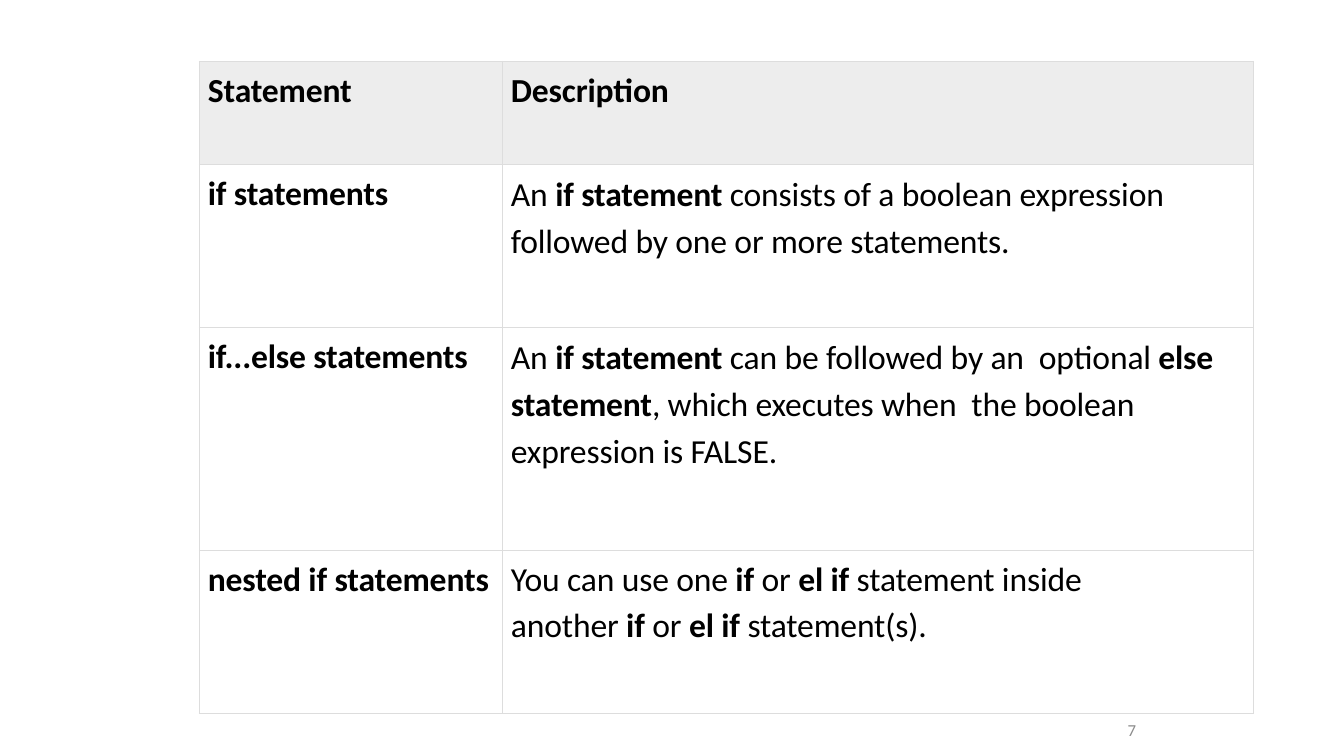
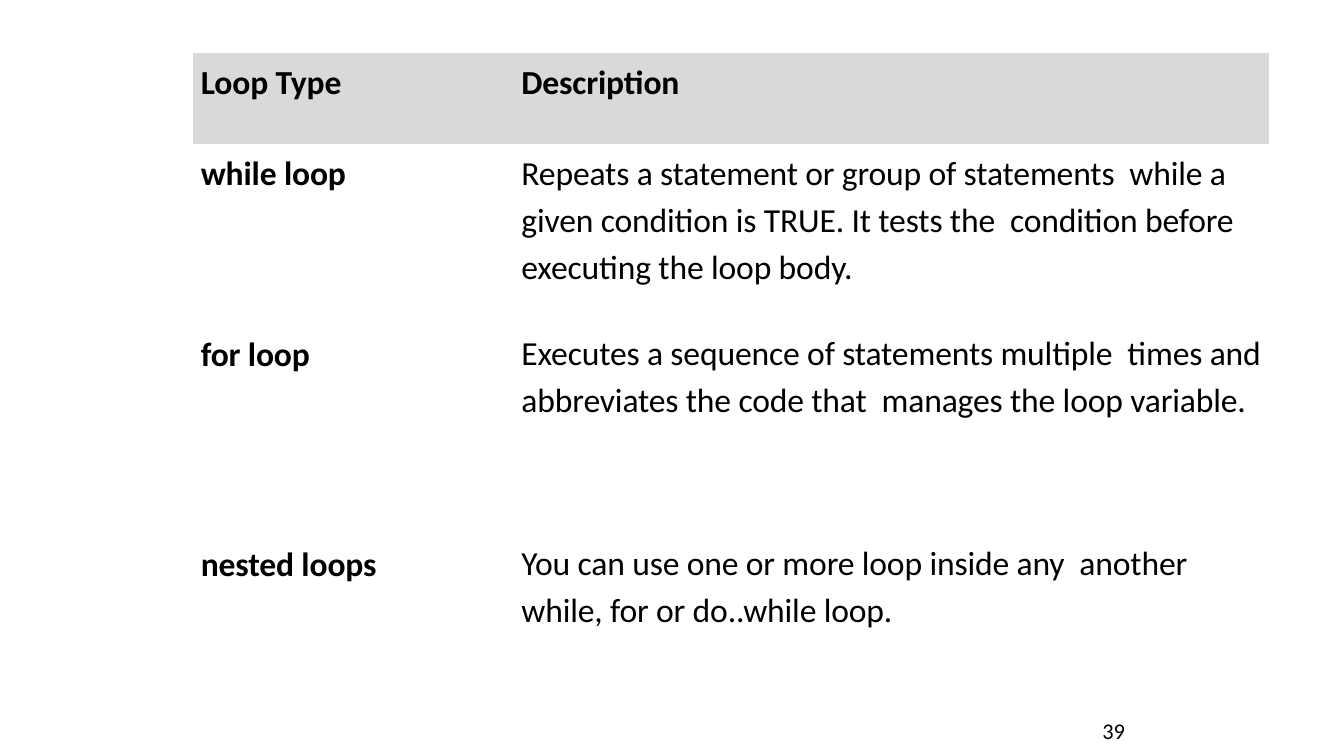
import pptx
import pptx.dml.color
import pptx.enum.text
import pptx.util

FONT = "Calibri"
BLACK = "000000"
WHITE = "FFFFFF"
PLAIN_TABLE_STYLE = "{2D5ABB26-0587-4C30-8999-92F81FD0307C}"
BORDER_SIDES = ("a:lnL", "a:lnR", "a:lnT", "a:lnB")

STATEMENTS = [
    ["**Statement**", "**Description**"],
    ["**if statements**",
     "An **if statement** consists of a boolean expression followed by one or more statements."],
    ["**if...else statements**",
     "An **if statement** can be followed by an  optional **else statement**, "
     "which executes when  the boolean expression is FALSE."],
    ["**nested if statements**",
     "You can use one **if** or **el if** statement inside\n"
     "another **if** or **el if** statement(s)."],
]

LOOPS = [
    ["**Loop Type**", "**Description**"],
    ["**while loop**",
     "Repeats a statement or group of statements  while a given condition is TRUE. "
     "It tests the  condition before executing the loop body."],
    ["**for loop**",
     "Executes a sequence of statements multiple  times and abbreviates "
     "the code that  manages the loop variable."],
    ["**nested loops**",
     "You can use one or more loop inside any  another while, for or do..while loop."],
]


def pt(value):
    return pptx.util.Pt(value)


def rgb(value):
    return pptx.dml.color.RGBColor.from_string(value)


def format_span(span, size, color, bold=False):
    span.font.name = FONT
    span.font.size = pt(size)
    span.font.bold = bold
    span.font.color.rgb = rgb(color)
    span._r.get_or_add_rPr().set("spc", "-10")


def write_rich_text(para, text):
    for position, piece in enumerate(text.split("**")):
        if piece:
            span = para.add_run()
            span.text = piece
            format_span(span, 24, BLACK, bold=position % 2 == 1)


def add_borders(cell, color):
    properties = cell._tc.get_or_add_tcPr()
    for index, side in enumerate(BORDER_SIDES):
        line = pptx.oxml.parse_xml(
            f'<{side} xmlns:a="http://schemas.openxmlformats.org/drawingml/2006/main" w="12700">'
            f'<a:solidFill><a:srgbClr val="{color}"/></a:solidFill></{side}>')
        properties.insert(index, line)


def fill_cell(cell, text, fill, top_inset, spacing):
    cell.fill.solid()
    cell.fill.fore_color.rgb = rgb(fill)
    cell.margin_left = pt(6)
    cell.margin_right = cell.margin_bottom = 0
    cell.margin_top = pt(top_inset)
    frame = cell.text_frame
    for index, line in enumerate(text.split("\n")):
        para = frame.add_paragraph() if index else frame.paragraphs[0]
        para.line_spacing = spacing
        para.space_before = pt(3.6 if index else 0)
        write_rich_text(para, line)


def add_statement_table(page, rows, left, top, widths, heights, header_fill,
                        label_inset, body_inset, border=None):
    table = page.shapes.add_table(len(rows), len(widths), pt(left), pt(top),
                                  pt(sum(widths)), pt(sum(heights))).table
    table.first_row = table.horz_banding = False
    table._tbl.tblPr[0].text = PLAIN_TABLE_STYLE
    for column, width in zip(table.columns, widths):
        column.width = pt(width)
    for row, height in zip(table.rows, heights):
        row.height = pt(height)
    for row_index, texts in enumerate(rows):
        for column_index, text in enumerate(texts):
            cell = table.cell(row_index, column_index)
            is_body = row_index > 0 and column_index > 0
            wraps = is_body and "\n" not in text
            fill_cell(cell, text, WHITE if row_index else header_fill,
                      body_inset if wraps else label_inset, 1.15 if wraps else 1.0)
            if border:
                add_borders(cell, border)


def add_page_number(page, number, right, size, color):
    width, height, middle = 24, 24, 521.5
    box = page.shapes.add_textbox(pt(right - width), pt(middle - height / 2),
                                  pt(width), pt(height))
    frame = box.text_frame
    frame.word_wrap = True
    frame.margin_left = frame.margin_right = frame.margin_top = frame.margin_bottom = 0
    frame.vertical_anchor = pptx.enum.text.MSO_ANCHOR.MIDDLE
    frame.text = number
    para = frame.paragraphs[0]
    para.alignment = pptx.enum.text.PP_ALIGN.RIGHT
    format_span(para.runs[0], size, color)


def main():
    deck = pptx.Presentation()
    deck.slide_width, deck.slide_height = pt(960), pt(540)
    blank = deck.slide_layouts[6]

    page = deck.slides.add_slide(blank)
    add_statement_table(page, STATEMENTS, 142.5, 44, [216.5, 536.5],
                        [73.5, 116.5, 159, 116.5], "EDEDED", 6.5, 3, "DDDDDD")
    add_page_number(page, "7", 811.5, 12, "8C8C8C")

    page = deck.slides.add_slide(blank)
    add_statement_table(page, LOOPS, 137.5, 37.5, [229, 540],
                        [65.5, 129, 150, 108], "D9D9D9", 7, 2.2)
    add_page_number(page, "39", 803.5, 16, BLACK)

    deck.save("out.pptx")


if __name__ == "__main__":
    main()
